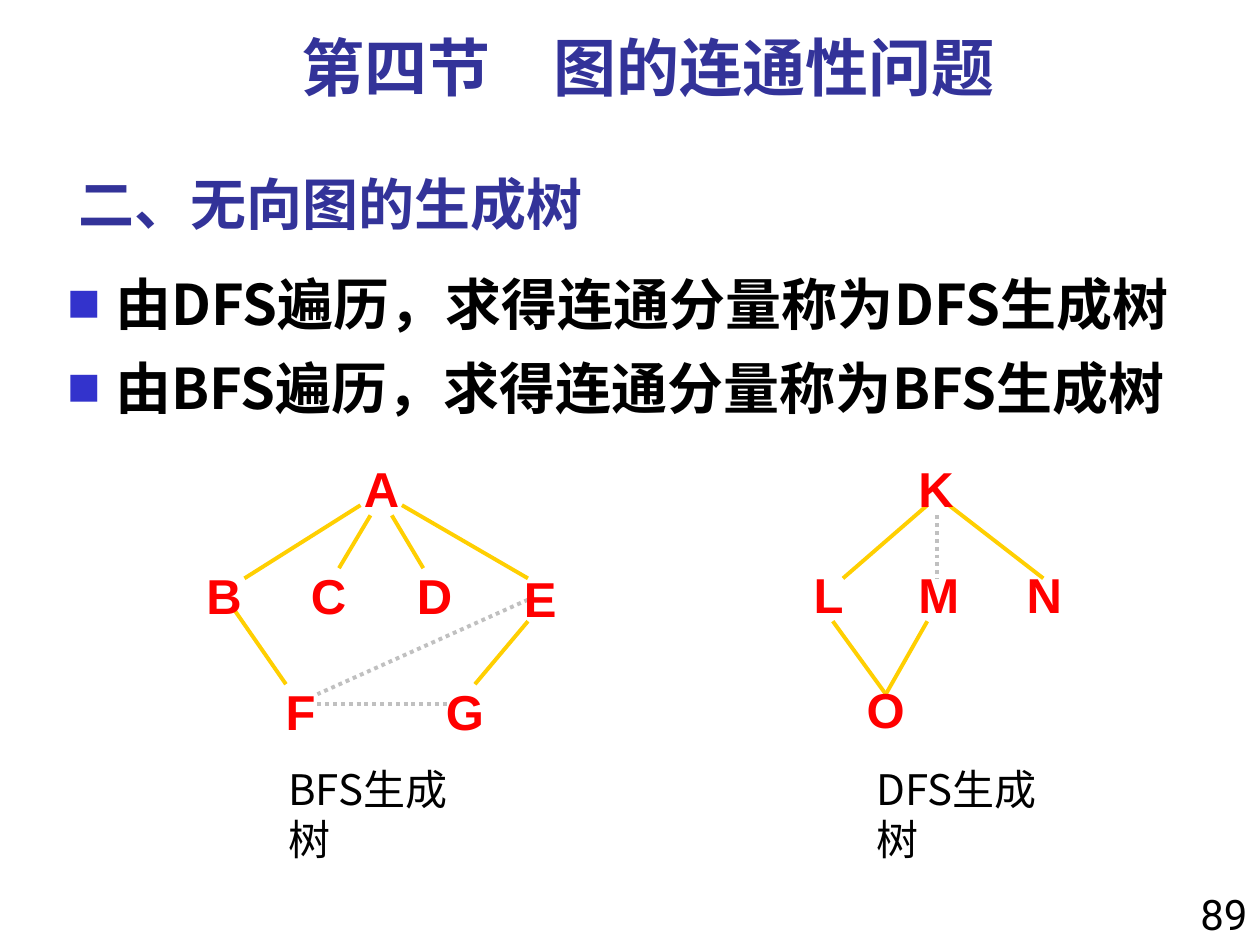
import pptx
import pptx.dml.color
import pptx.enum.dml
import pptx.enum.shapes
import pptx.enum.text
import pptx.oxml.ns
import pptx.util
from lxml import etree

Pt = pptx.util.Pt
RGBColor = pptx.dml.color.RGBColor
ALIGN = pptx.enum.text.PP_ALIGN
FIT = pptx.enum.text.MSO_AUTO_SIZE
qn = pptx.oxml.ns.qn

NAVY = RGBColor(0x33, 0x33, 0x99)
BULLET_BLUE = RGBColor(0x33, 0x33, 0xCC)
BLACK = RGBColor(0, 0, 0)
RED = RGBColor(0xFF, 0, 0)
GOLD = RGBColor(0xFF, 0xCF, 0x01)
GREY = RGBColor(0xC0, 0xC0, 0xC0)
CJK_FONT = "Noto Sans CJK SC"
LATIN_FONT = "Roboto"
NODE_FONT = "Arial"

# Node label: left, top, width
BFS_NODES = {
    "A": (200.9, 258.5, 34.6), "B": (110.9, 319.7, 34.6),
    "C": (170.6, 319.7, 34.6), "D": (231.1, 319.7, 34.6),
    "E": (292.3, 321.1, 33.1), "F": (156.2, 385.9, 31.7),
    "G": (247.7, 385.9, 36),
}
DFS_NODES = {
    "K": (517.7, 258.5, 34.6), "L": (457.9, 319, 31.7),
    "M": (517.7, 319, 38.2), "N": (579.6, 319, 34.6),
    "O": (488.2, 384.5, 36),
}
# Edge: start x, start y, end x, end y
BFS_TREE_EDGES = [
    (206, 288.7, 139.7, 330.5), (211.7, 294.5, 193.7, 324.7),
    (223.9, 294.5, 241.9, 324.7), (229.7, 288.7, 301.7, 330.5),
    (301.7, 355, 271.4, 391), (133.9, 348.5, 163.4, 391),
]
BFS_OTHER_EDGES = [(181.4, 402.5, 259.9, 402.5), (301.7, 342.7, 181.4, 396.7)]
DFS_TREE_EDGES = [
    (529.9, 288.7, 481.7, 330.5), (542.2, 288.7, 596.2, 330.5),
    (529.9, 355, 506.2, 396.7), (475.9, 355, 506.2, 396.7),
]
DFS_OTHER_EDGES = [(535.7, 294.5, 535.7, 330.5)]


class SlideBuilder:
    def __init__(self, presentation):
        self.slide = presentation.slides.add_slide(presentation.slide_layouts[5])
        self.line_width = Pt(2.25)

    def add_text_run(self, paragraph, text, size, font, color, bold=False):
        run = paragraph.add_run()
        run.text = text
        run.font.size = Pt(size)
        run.font.name = font
        run.font.bold = bold
        run.font.color.rgb = color
        east_asian = etree.SubElement(run.font._element, qn("a:ea"))
        east_asian.set("typeface", CJK_FONT)

    def title(self, text, box):
        shape = self.slide.shapes.title
        shape.left, shape.top, shape.width, shape.height = map(Pt, box)
        frame = shape.text_frame
        frame.auto_size = FIT.NONE
        frame.vertical_anchor = pptx.enum.text.MSO_ANCHOR.BOTTOM
        frame.paragraphs[0].alignment = ALIGN.LEFT
        self.add_text_run(frame.paragraphs[0], text, 32, CJK_FONT, NAVY, True)

    def text(self, text, box, size, font, color, bold=False,
             align=ALIGN.LEFT, wrap=True, group=None):
        shape = (group or self.slide).shapes.add_textbox(*map(Pt, box))
        frame = shape.text_frame
        frame.word_wrap = wrap
        frame.auto_size = FIT.SHAPE_TO_FIT_TEXT
        frame.paragraphs[0].alignment = align
        self.add_text_run(frame.paragraphs[0], text, size, font, color, bold)

    def bullets(self, texts, box):
        frame = self.slide.shapes.add_textbox(*map(Pt, box)).text_frame
        frame.word_wrap = True
        for index, text in enumerate(texts):
            paragraph = frame.add_paragraph() if index else frame.paragraphs[0]
            properties = paragraph._p.get_or_add_pPr()
            properties.set("marL", str(Pt(27)))
            properties.set("indent", str(-Pt(27)))
            color = etree.SubElement(properties, qn("a:buClr"))
            etree.SubElement(color, qn("a:srgbClr")).set("val", str(BULLET_BLUE))
            etree.SubElement(properties, qn("a:buSzPct")).set("val", "60000")
            etree.SubElement(properties, qn("a:buFont")).set("typeface", CJK_FONT)
            etree.SubElement(properties, qn("a:buChar")).set("char", "■")
            if index:
                paragraph.space_before = Pt(9.6)
            self.add_text_run(paragraph, text, 32, CJK_FONT, BLACK, True)

    def edge(self, group, ends, color, dotted=False):
        line = group.shapes.add_connector(
            pptx.enum.shapes.MSO_CONNECTOR.STRAIGHT, *map(Pt, ends))
        line.line.color.rgb = color
        line.line.width = self.line_width
        if dotted:
            line.line.dash_style = pptx.enum.dml.MSO_LINE.ROUND_DOT
        etree.SubElement(line._element.spPr, qn("a:effectLst"))

    def tree(self, nodes, tree_edges, other_edges):
        group = self.slide.shapes.add_group_shape()
        for ends in other_edges:
            self.edge(group, ends, GREY, dotted=True)
        for ends in tree_edges:
            self.edge(group, ends, GOLD)
        for name, (left, top, width) in nodes.items():
            self.text(name, (left, top, width, 41), 28, NODE_FONT, RED, True,
                      wrap=False, group=group)


def main():
    presentation = pptx.Presentation()
    presentation.slide_width = Pt(720)
    presentation.slide_height = Pt(540)
    builder = SlideBuilder(presentation)

    # Headings and page number
    builder.title("二、无向图的生成树", (37.5, 85, 594, 54))
    builder.text("第四节　图的连通性问题", (37.5, 13, 666, 50.5),
                 36, LATIN_FONT, NAVY, True, ALIGN.CENTER)
    builder.text("89", (672, 504, 48, 36), 24, LATIN_FONT, BLACK,
                 align=ALIGN.RIGHT)

    # Definitions
    builder.bullets(["由DFS遍历，求得连通分量称为DFS生成树",
                     "由BFS遍历，求得连通分量称为BFS生成树"],
                    (31.7, 150.5, 688, 318))

    # Spanning trees with captions
    builder.tree(BFS_NODES, BFS_TREE_EDGES, BFS_OTHER_EDGES)
    builder.tree(DFS_NODES, DFS_TREE_EDGES, DFS_OTHER_EDGES)
    for caption, left in (("BFS生成树", 157.7), ("DFS生成树", 493.9)):
        builder.text(caption, (left, 432.7, 122.4, 36), 24, CJK_FONT, BLACK)

    presentation.save("out.pptx")


if __name__ == "__main__":
    main()
